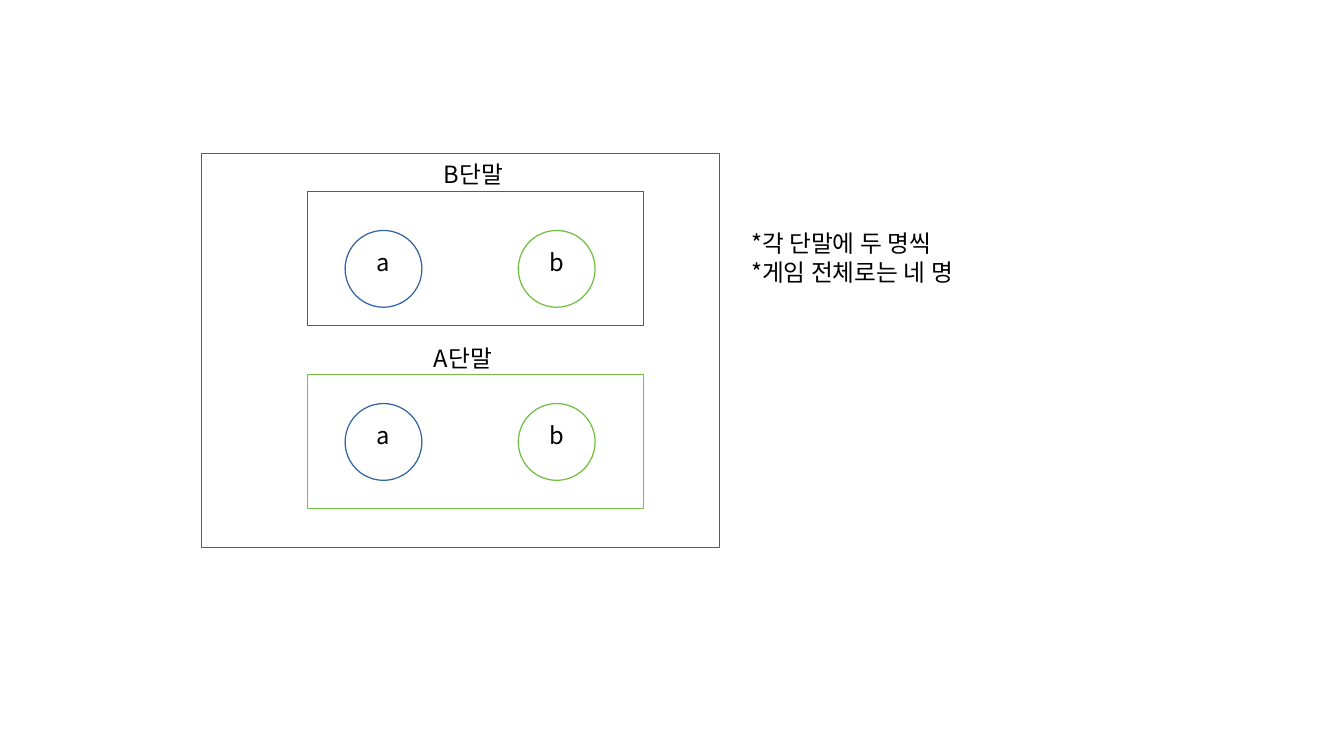
from pptx import Presentation
from pptx.dml.color import RGBColor
from pptx.enum.shapes import MSO_SHAPE as SHAPE
from pptx.enum.text import MSO_AUTO_SIZE as AUTO
from pptx.oxml.ns import qn
from pptx.util import Inches, Pt
from lxml import etree

FONT = "Noto Sans CJK JP"
BLUE, RED, GREEN = "3465A4", "ED1C24", "72BF44"


def add_outline(kind, box, color):
    sp = slide.shapes.add_shape(kind, *map(Inches, box))
    sp.shadow.inherit = False
    sp.fill.background()
    sp.line.color.rgb = RGBColor.from_string(color)
    sp.line.width = Pt(0)


def add_label(box, *lines):
    tf = slide.shapes.add_textbox(*map(Inches, box)).text_frame
    tf.word_wrap = True
    tf.auto_size = AUTO.SHAPE_TO_FIT_TEXT
    tf.text = "\n".join(lines)
    for p in tf.paragraphs:
        r = p.runs[0]
        for name, value in {"size": Pt(14), "name": FONT}.items():
            setattr(r.font, name, value)
        r.font.color.rgb = RGBColor.from_string("000000")
        # East Asian text takes its typeface from a:ea
        etree.SubElement(r.font._element, qn("a:ea"), typeface=FONT)


prs = Presentation()
prs.slide_width, prs.slide_height = Inches(11.02), Inches(6.2)
slide = prs.slides.add_slide(prs.slide_layouts[6])

# Whole game
add_outline(SHAPE.RECTANGLE, (1.65, 1.26, 4.25, 3.23), BLUE)

# Each device: name, name position, frame top, frame colour, player top
devices = [
    ("B단말", 3.54, 1.26, 1.57, RED, 1.89),
    ("A단말", 3.46, 2.77, 3.07, GREEN, 3.31),
]
players = [("a", 2.83, BLUE), ("b", 4.25, GREEN)]

for device, name_x, name_y, frame_y, frame_color, player_y in devices:
    add_outline(SHAPE.RECTANGLE, (2.52, frame_y, 2.76, 1.1), frame_color)
    add_label((name_x, name_y, 1.81, 0.38), device)
    for player, x, color in players:
        add_outline(SHAPE.OVAL, (x, player_y, 0.63, 0.63), color)
        add_label((x + 0.16, player_y + 0.09, 0.39, 0.38), player)

add_label((6.06, 1.83, 1.89, 0.95), "*각 단말에 두 명씩", "*게임 전체로는 네 명")

prs.save("out.pptx")
